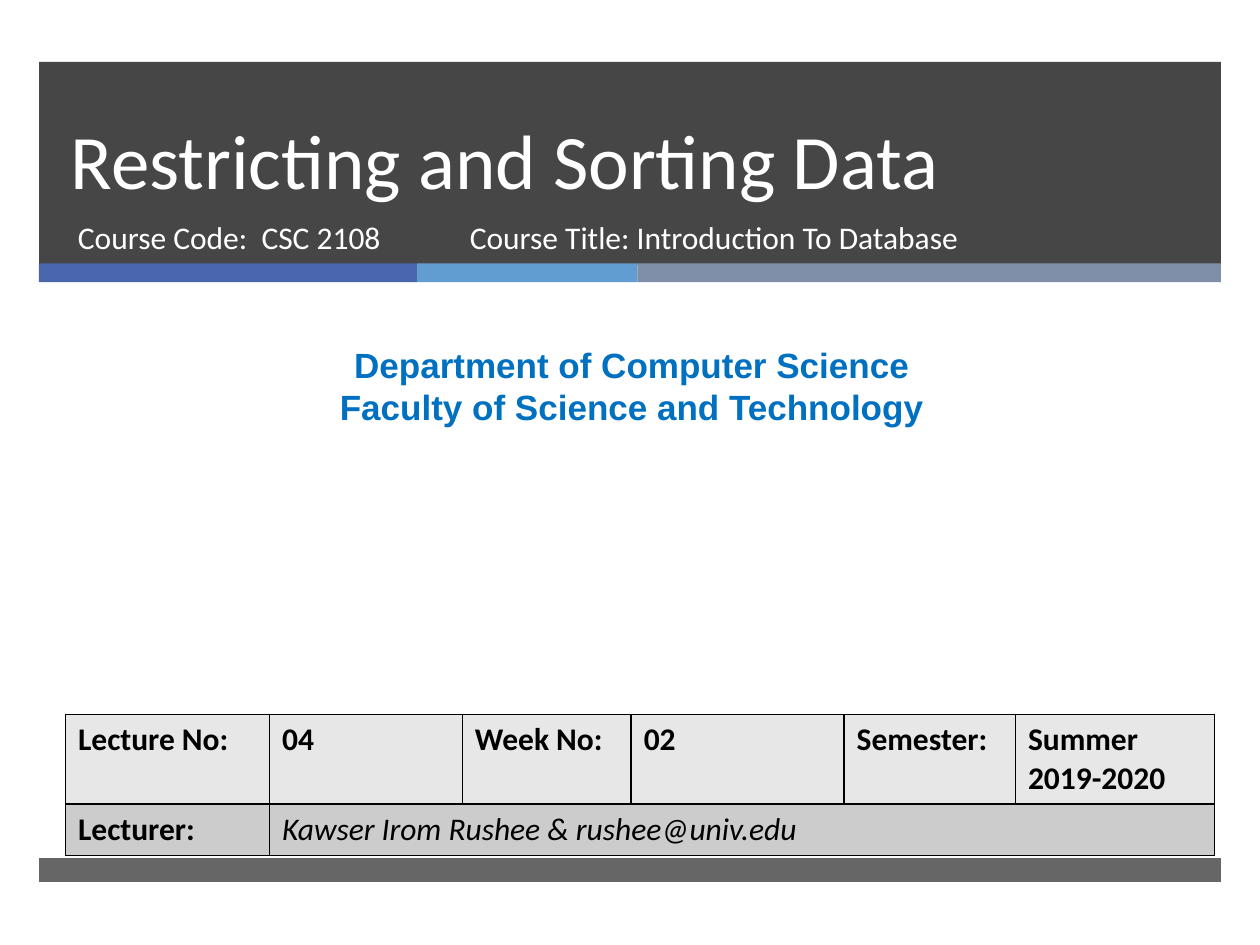
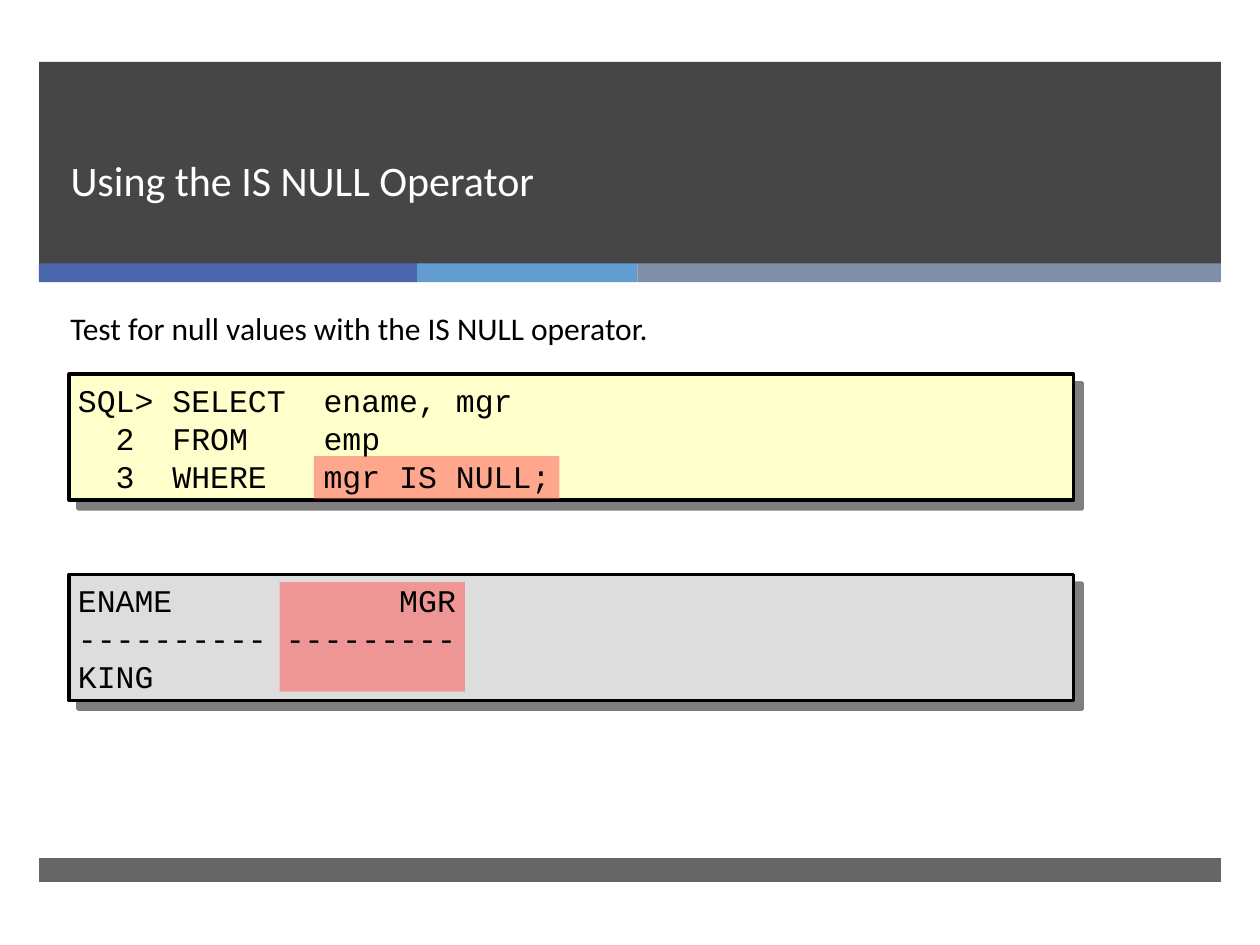
from lxml import etree
from pptx import Presentation
from pptx.dml.color import RGBColor
from pptx.enum.shapes import MSO_SHAPE
from pptx.enum.text import MSO_ANCHOR, MSO_AUTO_SIZE, PP_ALIGN
from pptx.oxml.ns import qn
from pptx.util import Inches, Pt

RECTANGLE = MSO_SHAPE.RECTANGLE
TOP, MIDDLE, BOTTOM = MSO_ANCHOR.TOP, MSO_ANCHOR.MIDDLE, MSO_ANCHOR.BOTTOM
LEFT, CENTER = PP_ALIGN.LEFT, PP_ALIGN.CENTER
NO_FIT = MSO_AUTO_SIZE.NONE
TITLE_ONLY = 5

# The slide is a grid of 100 columns by 75 rows
WIDTH, HEIGHT = Inches(10), Inches(7.5)
COLUMNS, ROWS = 100, 75

BLACK, WHITE, CHARCOAL = "000000", "FFFFFF", "262626"
HEADING_BLUE, HIGHLIGHT = "0070C0", "FF5050"
STRIPES = [(30, "4A66AC"), (17.5, "629DD1"), (46.3, "7F8FA9")]
BAND_LEFT, BAND_WIDTH = 3.1, 93.8
BODY, CODE, HEADING = "Calibri", "Courier New", "Arial"


def color(value):
    return RGBColor.from_string(value)


def across(columns):
    return round(WIDTH * columns / COLUMNS)


def down(rows):
    return round(HEIGHT * rows / ROWS)


def place(left, top, width, height):
    return across(left), down(top), across(width), down(height)


def add_child(parent, tag, **attributes):
    return etree.SubElement(parent, qn(tag), attributes)


class LectureDeck:
    def __init__(self):
        self.deck = Presentation()
        self.deck.slide_width, self.deck.slide_height = WIDTH, HEIGHT
        self.page = None

    def start_page(self, title, size):
        self.page = self.deck.slides.add_slide(self.deck.slide_layouts[TITLE_ONLY])
        # Header band, coloured stripes and footer band
        self.panel(BAND_LEFT, 4.9, BAND_WIDTH, 16.1, CHARCOAL, opacity=85)
        left = BAND_LEFT
        for width, fill in STRIPES:
            self.panel(left, 20.9, width, 1.5, fill)
            left += width
        self.panel(BAND_LEFT, 68.1, BAND_WIDTH, 1.9, CHARCOAL, opacity=70)
        # The title goes in front of the header band
        box = self.page.shapes.title
        box.element.getparent().append(box.element)
        box.left, box.top, box.width, box.height = place(4.6, 4.9, 85.4, 11.9)
        self.set_text(box.text_frame, title, size, WHITE, anchor=BOTTOM, spacing=46)

    def set_text(self, frame, text, size=18, ink=BLACK, font=BODY, bold=False,
                 italic=False, align=LEFT, anchor=TOP, spacing=None):
        frame.text = text
        frame.word_wrap = True
        frame.auto_size = NO_FIT
        frame.vertical_anchor = anchor
        for para in frame.paragraphs:
            self.format_para(para, size, ink, font, bold, italic, align)
            if spacing:
                para.line_spacing = Pt(spacing)

    def format_para(self, para, size, ink, font, bold, italic, align):
        para.alignment = align
        for span in para.runs:
            span.font.name, span.font.size = font, Pt(size)
            span.font.bold, span.font.italic = bold, italic
            span.font.color.rgb = color(ink)

    def text(self, left, top, width, height, text, **style):
        box = self.page.shapes.add_textbox(*place(left, top, width, height))
        self.set_text(box.text_frame, text, **style)

    def panel(self, left, top, width, height, fill, opacity=100):
        shape = self.page.shapes.add_shape(RECTANGLE, *place(left, top, width, height))
        shape.shadow.inherit = False
        shape.fill.solid()
        shape.fill.fore_color.rgb = color(fill)
        shape.line.fill.background()
        if opacity < 100:
            tint = shape.element.spPr.find(".//" + qn("a:srgbClr"))
            add_child(tint, "a:alpha", val=str(opacity * 1000))
        return shape

    def code_panel(self, top, fill, lines, highlight):
        panel = self.panel(5.5, top, 79.7, 10, fill)
        panel.line.color.rgb = color(BLACK)
        panel.line.width = Pt(2)
        # Half-transparent shadow to the lower right
        effects = panel.element.spPr.find(qn("a:effectLst"))
        shadow = add_child(effects, "a:outerShdw", dist=str(Pt(7.1)),
                           dir="2700000", algn="ctr", rotWithShape="0")
        add_child(add_child(shadow, "a:srgbClr", val=BLACK), "a:alpha", val="50000")
        # Highlight, measured from the top of the panel
        left, offset, width, height = highlight
        self.panel(left, top + offset, width, height, HIGHLIGHT, opacity=50)
        self.text(5.2, top - 0.1, 80, 10.3, "\n".join(lines), font=CODE,
                  anchor=MIDDLE, spacing=21.7)

    def table(self, left, top, widths, heights, rows, fills):
        grid = self.page.shapes.add_table(
            len(heights), len(widths),
            *place(left, top, sum(widths), sum(heights))).table
        for column, width in zip(grid.columns, widths):
            column.width = across(width)
        for row, height in zip(grid.rows, heights):
            row.height = down(height)
        for row, texts, fill in zip(grid.rows, rows, fills):
            for index, cell in enumerate(row.cells):
                cell.fill.solid()
                cell.fill.fore_color.rgb = color(fill)
                self.outline(cell)
                if index < len(texts):
                    cell.text = texts[index]
                    self.format_para(cell.text_frame.paragraphs[0], 18, BLACK,
                                     BODY, True, False, LEFT)
        return grid

    def outline(self, cell):
        properties = cell._tc.get_or_add_tcPr()
        for index, side in enumerate(("a:lnL", "a:lnR", "a:lnT", "a:lnB")):
            line = etree.Element(qn(side), w=str(Pt(1)))
            add_child(add_child(line, "a:solidFill"), "a:srgbClr", val=BLACK)
            properties.insert(index, line)


def build_cover(lecture):
    lecture.start_page("Restricting and Sorting Data", 44)
    lecture.text(5.2, 16.8, 30.5, 5.3, "Course Code:  CSC 2108", ink=WHITE)
    lecture.text(36.3, 16.8, 45.5, 5.3, "Course Title: Introduction To Database",
                 ink=WHITE)
    lecture.text(0.8, 26.8, 98.7, 7.7,
                 "Department of Computer Science\nFaculty of Science and Technology",
                 size=20, ink=HEADING_BLUE, font=HEADING, bold=True, align=CENTER)

    # Lecture details
    details = lecture.table(
        5.2, 56.7, [16.2, 15.3, 13.4, 16.9, 13.6, 15.8], [7, 4.1],
        [["Lecture No:", "04", "Week No:", "02", "Semester:", "Summer 2019-2020"],
         ["Lecturer:", "Kawser Irom Rushee & rushee@univ.edu"]],
        ["E7E7E7", "CCCCCC"])
    lecturer = details.cell(1, 1)
    lecturer.merge(details.cell(1, 5))
    font = lecturer.text_frame.paragraphs[0].runs[0].font
    font.bold, font.italic = False, True


def build_null_operator(lecture):
    lecture.start_page("Using the IS NULL Operator", 24)
    lecture.text(4.6, 24, 52, 4, "Test for null values with the IS NULL operator.")

    # Query and its result
    lecture.code_panel(29.7, "FFFFCC",
                       ["SQL> SELECT  ename, mgr",
                        "  2  FROM    emp",
                        "  3  WHERE   mgr IS NULL;"],
                       highlight=(24.9, 6.5, 19.5, 3.4))
    lecture.code_panel(45.6, "DDDDDD",
                       ["ENAME            MGR",
                        "---------- ---------",
                        "KING"],
                       highlight=(22.2, 0.6, 14.7, 8.7))


def main():
    lecture = LectureDeck()
    build_cover(lecture)
    build_null_operator(lecture)
    lecture.deck.save("out.pptx")


if __name__ == "__main__":
    main()
